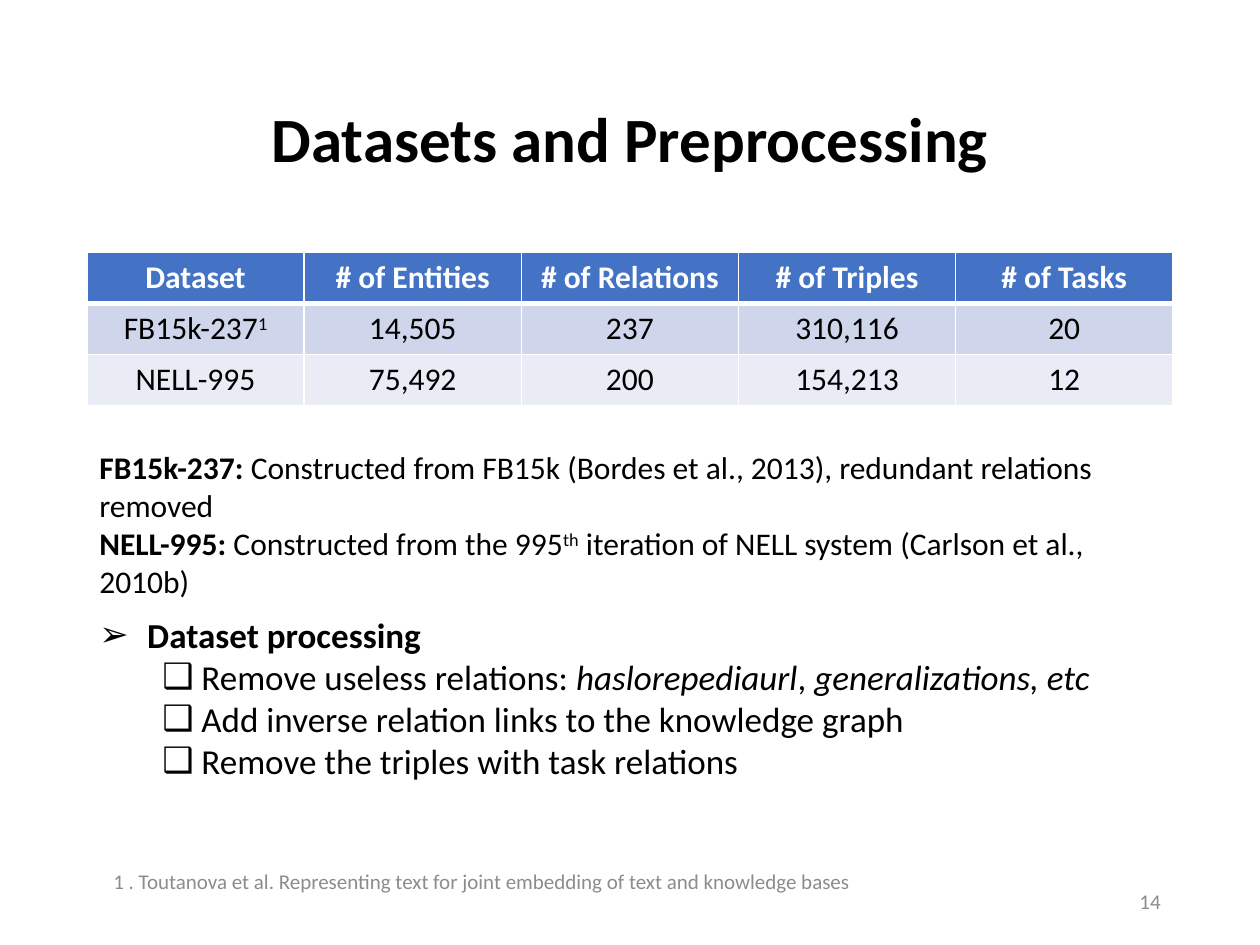
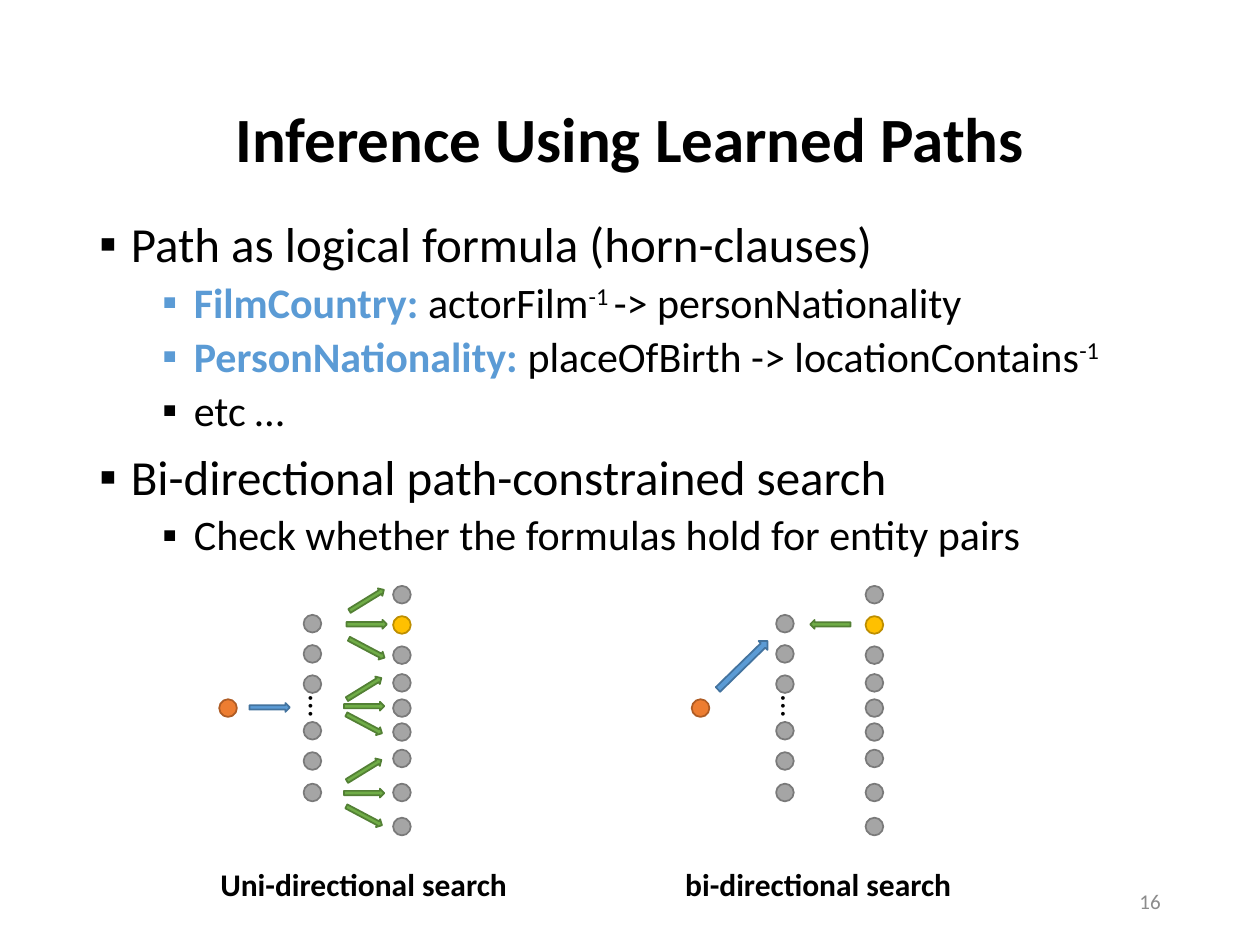
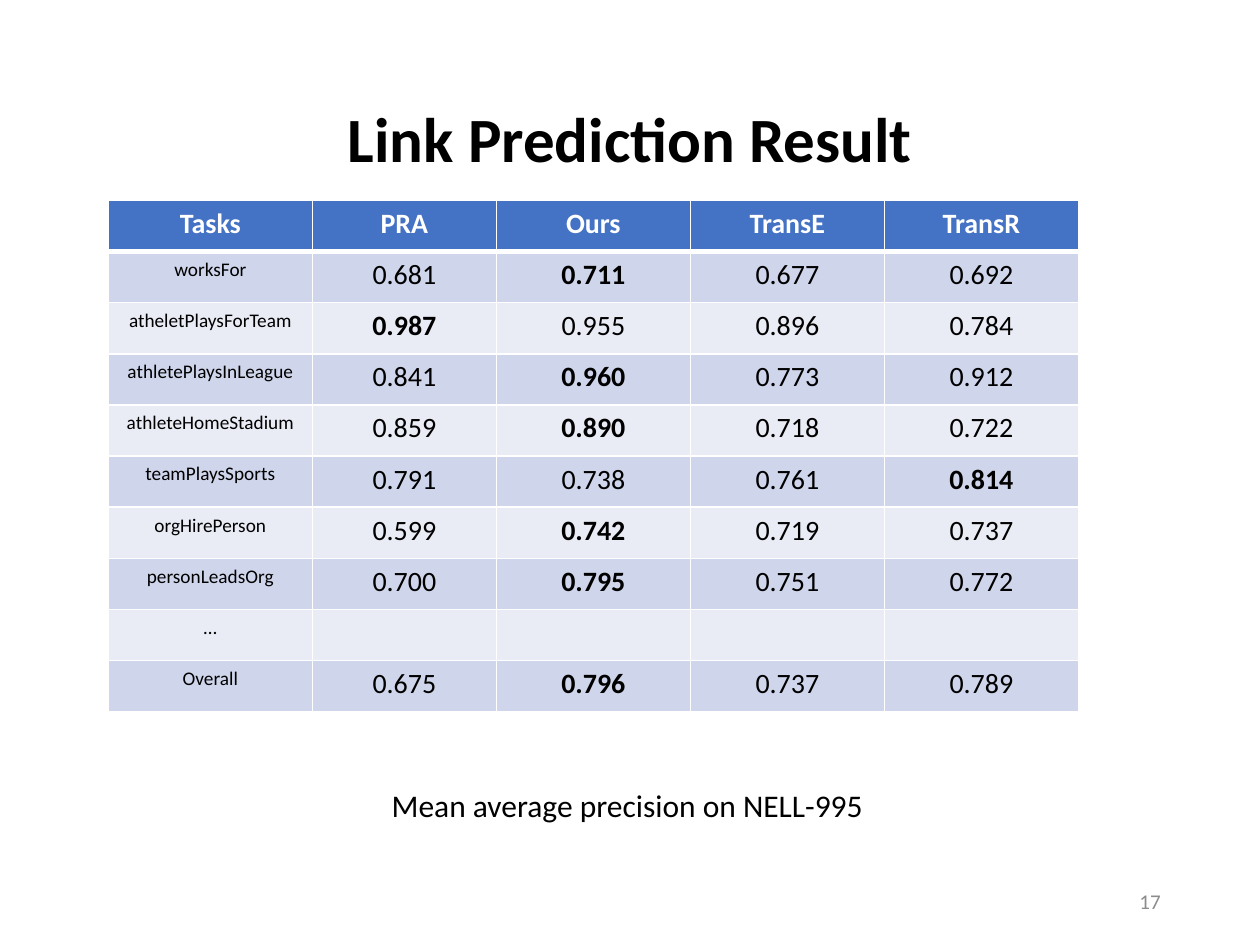
from lxml.etree import SubElement
from pptx import Presentation
from pptx.dml.color import RGBColor
from pptx.enum.shapes import MSO_SHAPE
from pptx.enum.text import MSO_ANCHOR, PP_ALIGN
from pptx.oxml.ns import qn
from pptx.util import Inches, Pt

FONT = "Calibri"
BLACK, WHITE, MUTED, ACCENT = "000000", "FFFFFF", "8C8C8C", "5B9BD5"
HEAD, BANDS = "4472C4", ("CFD5EA", "E9EBF5")
GREY, GOLD, ORANGE = ("A5A5A5", "7A7A7A"), ("FFC000", "BD8E00"), ("ED7D31", "AF5C24")
BLUE, GREEN = (ACCENT, "43739E"), ("70AD47", "538035")
LEFT, WIDE = 0.69, 8.62
DOT = 0.14
MIDS = (0.23, 0.47, 0.71, 1.08, 1.32, 1.57)
ENDS = (0, 0.24, 0.48, 0.7, 0.9, 1.09, 1.3, 1.57, 1.84)
FANS = ((1.01, 0.27, 0.19), (0.99, 0.92, 0.14), (0.99, 1.61, 0.18))


def paint(text):
    """Turn a hex string into a colour."""
    return RGBColor.from_string(text)


def place(box):
    """Turn a box in inches into lengths."""
    return [Inches(n) for n in box]


def add_run(para, text, size, color=BLACK, flags=""):
    """Add a run; flags are b for bold, i for italic, ^ for superscript."""
    run = para.add_run()
    run.text = text
    font = run.font
    font.name, font.size = FONT, Pt(size)
    font.bold, font.italic = "b" in flags, "i" in flags
    font.color.rgb = paint(color)
    if "^" in flags:
        run._r.get_or_add_rPr().set("baseline", "30000")


def add_runs(para, size, runs, color=BLACK):
    """Add runs given as text, flags and an optional colour."""
    for text, flags, *own in runs:
        add_run(para, text, size, own[0] if own else color, flags)


def set_bullet(para, mark, left, hang):
    """Give a paragraph a bullet with a hanging indent."""
    props = para._p.get_or_add_pPr()
    props.set("marL", str(Inches(left)))
    props.set("indent", str(-Inches(hang)))
    SubElement(props, qn("a:buFont")).set("typeface", FONT)
    SubElement(props, qn("a:buChar")).set("char", mark)


def add_text(slide, box, size, lines, color=BLACK, align=PP_ALIGN.LEFT,
             anchor=MSO_ANCHOR.TOP, wrap=True):
    """Add a text box with one paragraph for each line."""
    area = slide.shapes.add_textbox(*place(box))
    frame = area.text_frame
    frame.word_wrap, frame.vertical_anchor = wrap, anchor
    for n, runs in enumerate(lines):
        para = frame.add_paragraph() if n else frame.paragraphs[0]
        para.alignment = align
        add_runs(para, size, runs, color)
    return area


def add_page(deck, title, number):
    """Add a slide with its title and page number."""
    slide = deck.slides.add_slide(deck.slide_layouts[5])
    head = slide.shapes.title
    head.left, head.top, head.width, head.height = place((LEFT, 0.4, WIDE, 1.45))
    frame = head.text_frame
    frame.word_wrap, frame.vertical_anchor = True, MSO_ANCHOR.MIDDLE
    para = frame.paragraphs[0]
    para.alignment, para.line_spacing = PP_ALIGN.CENTER, 0.9
    add_run(para, title, 36, flags="b")
    add_text(slide, (7.06, 6.95, 2.25, 0.4), 12, [[(number, "")]], MUTED,
             PP_ALIGN.RIGHT, MSO_ANCHOR.MIDDLE)
    return slide


def set_edges(cell, row):
    """Draw white cell borders, thick below the header."""
    props = cell._tc.get_or_add_tcPr()
    thick = {("lnB", 0), ("lnT", 1)}
    for side in ("lnL", "lnR", "lnT", "lnB"):
        edge = SubElement(props, qn(f"a:{side}"))
        edge.set("w", str(Pt(3 if (side, row) in thick else 1)))
        fill = SubElement(edge, qn("a:solidFill"))
        SubElement(fill, qn("a:srgbClr")).set("val", WHITE)


def add_grid(slide, left, top, widths, height, rows, size):
    """Add a banded table whose cells are lists of runs."""
    box = (left, top, sum(widths), height)
    grid = slide.shapes.add_table(len(rows), len(widths), *place(box)).table
    for col, width in zip(grid.columns, widths):
        col.width = Inches(width)
    for r, row in enumerate(rows):
        grid.rows[r].height = Inches(height / len(rows))
        for c, (runs, points) in enumerate(row):
            cell = grid.cell(r, c)
            set_edges(cell, r)
            cell.fill.solid()
            cell.fill.fore_color.rgb = paint(BANDS[(r - 1) % 2] if r else HEAD)
            para = cell.text_frame.paragraphs[0]
            para.alignment = PP_ALIGN.CENTER
            add_runs(para, points or size, runs, BLACK if r else WHITE)


def head_row(names):
    """Make the cells of a header row."""
    return [([(name, "b")], None) for name in names]


def add_mark(slide, kind, box, tone, turn=0):
    """Add a filled preset shape with a one point outline."""
    mark = slide.shapes.add_shape(kind, *place(box))
    mark.shadow.inherit = False
    mark.fill.solid()
    mark.fill.fore_color.rgb = paint(tone[0])
    mark.line.color.rgb = paint(tone[1])
    mark.line.width = Pt(1)
    mark.rotation = turn


def add_arrow(slide, x, y, tone, turn=0, size=(0.32, 0.07)):
    """Add a block arrow."""
    add_mark(slide, MSO_SHAPE.RIGHT_ARROW, (x, y, *size), tone, turn)


def add_dots(slide, x, top, steps, tones):
    """Add a column of dots; tones maps an index to a special colour."""
    for n, step in enumerate(steps):
        add_mark(slide, MSO_SHAPE.OVAL, (x, top + step, DOT, DOT), tones.get(n, GREY))


def add_graph(slide, x, y):
    """Add the source, the middle layer and the end layer of a search."""
    add_dots(slide, x, y, (0.9,), {0: ORANGE})
    add_dots(slide, x + 0.67, y, MIDS, {})
    add_dots(slide, x + 1.38, y, ENDS, {1: GOLD})
    more = add_text(slide, (x + 0.62, y + 0.76, 0.38, 0.4), 18, [[("…", "")]], wrap=False)
    more.rotation = 90


def add_oneway(slide, x, y):
    """Add the search that fans out from the source."""
    add_graph(slide, x, y)
    add_arrow(slide, x + 0.24, y + 0.93, BLUE)
    for left, mid, gap in FANS:
        for shift, turn in ((-gap, 328.4), (0, 0), (gap, 27.9)):
            add_arrow(slide, x + left, y + mid + shift, GREEN, turn)
    add_text(slide, (x - 0.09, y + 2.17, 2.49, 0.4), 18,
             [[("Uni-directional search", "b")]], wrap=False)


def add_twoway(slide, x, y):
    """Add the search that meets from both sides."""
    add_graph(slide, x, y)
    add_arrow(slide, x + 0.13, y + 0.58, BLUE, 315.7, (0.55, 0.1))
    add_arrow(slide, x + 0.94, y + 0.27, GREEN, 180)
    add_text(slide, (x - 0.15, y + 2.17, 2.33, 0.4), 18,
             [[("bi-directional search", "b")]], wrap=False)


def add_steps(slide, box):
    """Add the list of processing steps."""
    area = add_text(slide, box, 20, [
        [("Dataset processing", "b")],
        [("Remove useless relations: ", ""), ("haslorepediaurl", "i"), (", ", ""),
         ("generalizations, etc", "i")],
        [("Add inverse relation links to the knowledge graph", "")],
        [("Remove the triples with task relations", "")],
    ])
    first, *rest = area.text_frame.paragraphs
    set_bullet(first, "➢", 0.38, 0.38)
    for para in rest:
        para.level = 1
        set_bullet(para, "❑", 0.81, 0.31)


def add_points(slide, box, points):
    """Add a two-level list of square bullets."""
    area = add_text(slide, box, 24, [[] for _ in points])
    for para, (level, runs) in zip(area.text_frame.paragraphs, points):
        para.level, para.line_spacing = level, 0.9
        para.space_before = Pt(5 if level else 10)
        set_bullet(para, "▪", 0.25 + 0.5 * level, 0.25)
        add_runs(para, 24 if level else 28, runs)


def data_page(deck):
    """Build the slide on datasets."""
    slide = add_page(deck, "Datasets and Preprocessing", "14")
    rows = [head_row(["Dataset", "# of Entities", "# of Relations", "# of Triples", "# of Tasks"])]
    for name, note, *counts in (("FB15k-237", "1", "14,505", "237", "310,116", "20"),
                                ("NELL-995", "", "75,492", "200", "154,213", "12")):
        label = [(name, "")] + ([(note, "^")] if note else [])
        rows.append([(label, None)] + [([(count, "")], None) for count in counts])
    add_grid(slide, LEFT, 2, [WIDE / 5] * 5, 1.22, rows, 18)
    add_steps(slide, (LEFT, 4.82, WIDE, 1.45))
    add_text(slide, (LEFT, 3.51, WIDE, 1.31), 18, [
        [("FB15k-237: ", "b"),
         ("Constructed from FB15k (Bordes et al., 2013), redundant relations removed", "")],
        [("NELL-995: ", "b"), ("Constructed from the 995", ""), ("th", "^"),
         (" iteration of NELL system (Carlson et al., 2010b)", "")],
    ])
    cite = "1 . Toutanova et al. Representing text for joint embedding of text and knowledge bases"
    add_text(slide, (LEFT, 6.79, 6.27, 0.4), 12, [[(cite, "")]], MUTED,
             PP_ALIGN.CENTER, MSO_ANCHOR.MIDDLE)


def path_page(deck):
    """Build the slide on inference."""
    slide = add_page(deck, "Inference Using Learned Paths", "16")
    add_points(slide, (LEFT, 1.7, WIDE, 4.76), [
        (0, [("Path as logical formula (horn-clauses)", "")]),
        (1, [("FilmCountry: ", "b", ACCENT), ("actorFilm", ""), ("-1 ", "^"),
             ("-> personNationality", "")]),
        (1, [("PersonNationality: ", "b", ACCENT),
             ("placeOfBirth -> locationContains", ""), ("-1", "^")]),
        (1, [("etc …", "")]),
        (0, [("Bi-directional path-constrained search", "")]),
        (1, [("Check whether the formulas hold for entity pairs", "")]),
    ])
    add_oneway(slide, 1.74, 4.65)
    add_twoway(slide, 5.49, 4.65)


def score_page(deck):
    """Build the slide on results, with the best score of a row in bold."""
    slide = add_page(deck, "Link Prediction Result", "17")
    rows = [head_row(["Tasks", "PRA", "Ours", "TransE", "TransR"])]
    for task, *scores in (
        ("worksFor", "0.681", "0.711", "0.677", "0.692"),
        ("atheletPlaysForTeam", "0.987", "0.955", "0.896", "0.784"),
        ("athletePlaysInLeague", "0.841", "0.960", "0.773", "0.912"),
        ("athleteHomeStadium", "0.859", "0.890", "0.718", "0.722"),
        ("teamPlaysSports", "0.791", "0.738", "0.761", "0.814"),
        ("orgHirePerson", "0.599", "0.742", "0.719", "0.737"),
        ("personLeadsOrg", "0.700", "0.795", "0.751", "0.772"),
        ("…", "", "", "", ""),
        ("Overall", "0.675", "0.796", "0.737", "0.789"),
    ):
        best = max(scores)
        cells = [([(score, "b" if score == best else "")] if score else [], None)
                 for score in scores]
        rows.append([([(task, "")], 11)] + cells)
    add_grid(slide, 0.86, 1.59, [1.62, 1.46, 1.54, 1.54, 1.54], 4.06, rows, 16)
    add_text(slide, (3.01, 6.19, 3.99, 0.4), 18,
             [[("Mean average precision on NELL-995", "")]], wrap=False)


def main():
    """Build and save the deck."""
    deck = Presentation()
    deck.slide_width, deck.slide_height = Inches(10), Inches(7.5)
    for build in (data_page, path_page, score_page):
        build(deck)
    deck.save("out.pptx")


if __name__ == "__main__":
    main()
